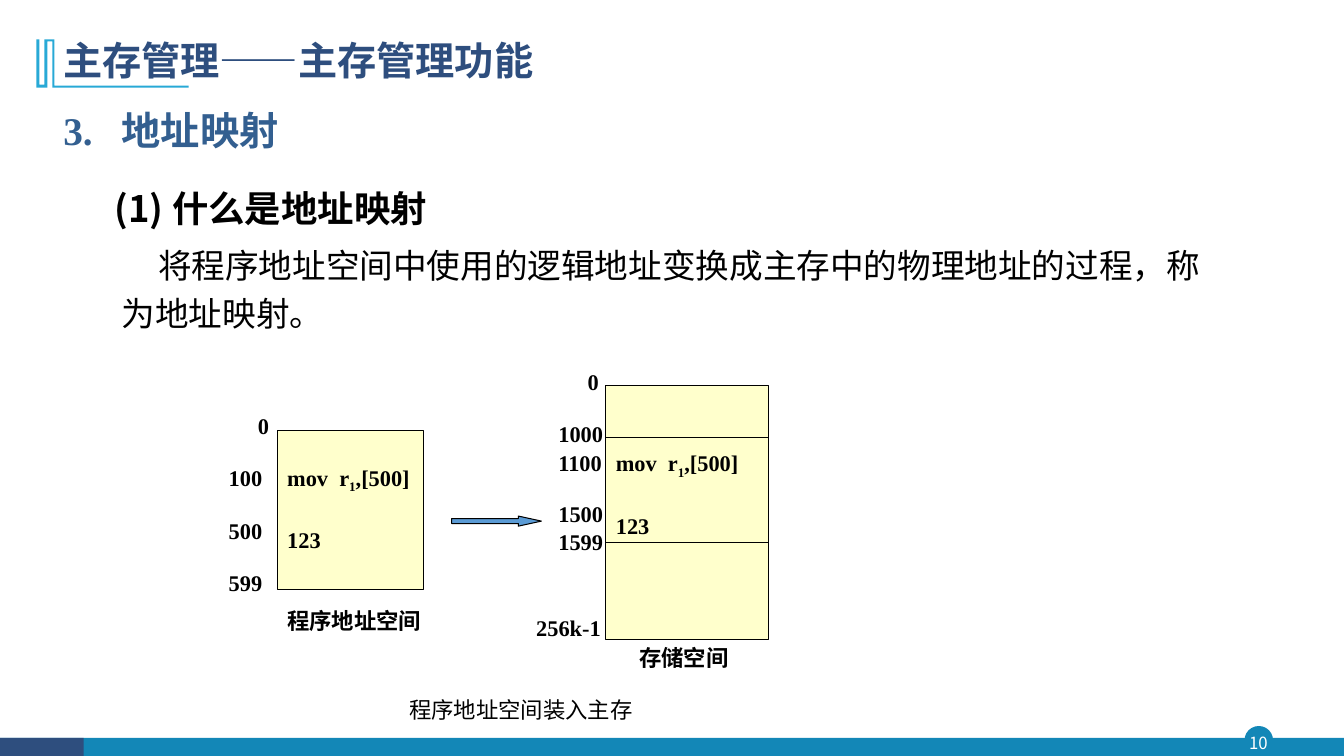
from lxml import etree
from pptx import Presentation
from pptx.dml.color import RGBColor
from pptx.enum.shapes import MSO_CONNECTOR, MSO_SHAPE
from pptx.enum.text import MSO_ANCHOR, PP_ALIGN
from pptx.oxml.ns import qn
from pptx.util import Inches, Pt

BLACK = RGBColor(0x00, 0x00, 0x00)
WHITE = RGBColor(0xFF, 0xFF, 0xFF)
NAVY = RGBColor(0x2E, 0x4E, 0x7E)
HEADING_BLUE = RGBColor(0x33, 0x5F, 0x90)
TEAL = RGBColor(0x13, 0x87, 0xB7)
CYAN = RGBColor(0x28, 0xA9, 0xD6)
ARROW_BLUE = RGBColor(0x5B, 0x9B, 0xD5)
CREAM = RGBColor(0xFF, 0xFF, 0xCC)
SANS = "Noto Sans CJK SC"
SERIF = "Times New Roman"


def add_run(paragraph, text, size, color=BLACK, name=SERIF, bold=False, baseline=None):
    """Append a formatted run to a paragraph."""
    run = paragraph.add_run()
    run.text = text
    for key, value in {"size": Pt(size), "name": name, "bold": bold}.items():
        setattr(run.font, key, value)
    run.font.color.rgb = color
    properties = run._r.get_or_add_rPr()
    if name == SANS:
        etree.SubElement(properties, qn("a:ea")).set("typeface", name)
    if baseline is not None:
        properties.set("baseline", str(baseline))


def add_text(slide, left, top, width, height, text="", size=16, **style):
    """Add a wrapping text box and return its text frame."""
    box = slide.shapes.add_textbox(Inches(left), Inches(top), Inches(width), Inches(height))
    frame = box.text_frame
    frame.word_wrap = True
    if text:
        add_run(frame.paragraphs[0], text, size, **style)
    return frame


def paint(shape, fill, line=None, width=0.75):
    """Give a shape a flat fill and an optional outline."""
    shape.shadow.inherit = False
    shape.fill.solid()
    shape.fill.fore_color.rgb = fill
    if line is None:
        shape.line.fill.background()
    else:
        shape.line.color.rgb = line
        shape.line.width = Pt(width)


def add_block(slide, kind, left, top, width, height, fill, line=None, weight=0.75):
    """Add a painted preset shape."""
    shape = slide.shapes.add_shape(kind, Inches(left), Inches(top), Inches(width), Inches(height))
    paint(shape, fill, line, weight)
    return shape


def add_footer(slide, top, width, height):
    """Draw the bottom band with the page number badge."""
    add_block(slide, MSO_SHAPE.OVAL, width - 0.98, top - 0.11, 0.27, 0.27, TEAL, TEAL, 1)
    add_block(slide, MSO_SHAPE.RECTANGLE, 0, top, width, height, TEAL)
    add_block(slide, MSO_SHAPE.RECTANGLE, 0, top, 0.83, height, NAVY)
    number = add_text(slide, width - 1.01, top - 0.11, 0.32, 0.31, "10", 12, color=WHITE, name=SANS)
    for side in ("left", "top", "right", "bottom"):
        setattr(number, f"margin_{side}", 0)
    number.vertical_anchor = MSO_ANCHOR.MIDDLE
    number.paragraphs[0].alignment = PP_ALIGN.CENTER


def add_header(slide, left, top):
    """Draw the corner ornament and the slide title."""
    outline = [(0.18, 0), (0.18, 0.46), (1.51, 0.46), (1.51, 0.48), (0.16, 0.48), (0.16, 0.02),
               (0.11, 0.02), (0.11, 0.48), (0, 0.48), (0, 0), (0.03, 0), (0.03, 0.45),
               (0.08, 0.45), (0.08, 0)]
    points = [(Inches(left + x), Inches(top + y)) for x, y in outline]
    builder = slide.shapes.build_freeform(*points[0])
    builder.add_line_segments(points[1:], close=True)
    paint(builder.convert_to_shape(), CYAN)
    title = add_text(slide, left + 0.17, top - 0.05, 10.49, 0.56, "主存管理——主存管理功能", 28,
                     color=NAVY, name=SANS, bold=True)
    title.vertical_anchor = MSO_ANCHOR.MIDDLE
    title.paragraphs[0].line_spacing = 0.9


def add_definition(slide, left, top, width, height):
    """Write the section heading, the question and its answer."""
    frame = add_text(slide, left, top, width, height)
    rows = [
        ("3.\t地址映射", 0.58, -0.58, 1.2, 0,
         {"size": 28, "color": HEADING_BLUE, "bold": True}),
        ("(1) 什么是地址映射", 0.51, 0, 1.5, 8, {"size": 26, "name": SANS, "bold": True}),
        ("将程序地址空间中使用的逻辑地址变换成主存中的物理地址的过程，称为地址映射。",
         0.58, 0.36, 1.2, 5, {"size": 24}),
    ]
    for index, (text, margin, indent, spacing, before, style) in enumerate(rows):
        paragraph = frame.add_paragraph() if index else frame.paragraphs[0]
        properties = paragraph._p.get_or_add_pPr()
        properties.set("marL", str(Inches(margin)))
        properties.set("indent", str(Inches(indent)))
        paragraph.line_spacing = spacing
        if index:
            paragraph.space_before = Pt(before)
        add_run(paragraph, text, **style)


def add_memory(slide, left, top, width, height, code_top, addresses, caption, dividers=()):
    """Draw a memory block with its code, address labels, dividers and caption."""
    memory = add_block(slide, MSO_SHAPE.RECTANGLE, left, top, width, height, CREAM, BLACK)
    code = memory.text_frame
    code.vertical_anchor = MSO_ANCHOR.TOP
    code.margin_top = Inches(code_top)
    instruction, value = code.paragraphs[0], code.add_paragraph()
    for text, baseline in (("mov  r", None), ("1", -25000), (",[500]", None)):
        add_run(instruction, text, 16, bold=True, baseline=baseline)
    add_run(value, "123", 16, bold=True)
    value.space_before = Pt(22.5)
    for paragraph in code.paragraphs:
        paragraph.alignment = PP_ALIGN.LEFT
    for offset in dividers:
        y = Inches(top + offset)
        divider = slide.shapes.add_connector(
            MSO_CONNECTOR.STRAIGHT, Inches(left), y, Inches(left + width), y)
        divider.line.color.rgb = BLACK
        divider.line.width = Pt(0.75)
        etree.SubElement(divider._element.spPr, qn("a:effectLst"))
    for address, dx, dy in addresses:
        add_text(slide, left + dx, top + dy, 0.3 + 0.11 * len(address), 0.37, address, bold=True)
    name, dx, dy = caption
    add_text(slide, left + dx, top + height + dy, 1.75, 0.37, name, bold=True)


def add_mapping(slide, left, top):
    """Draw the program space being loaded into main memory."""
    program = [("0", -0.29, -0.23)]
    program += [(address, -0.58, 0.29 + 0.52 * row)
                for row, address in enumerate(("100", "500", "599"))]
    add_memory(slide, left, top + 0.45, 1.45, 1.58, 0.33, program, ("程序地址空间", 0, 0.12))
    storage = [("0", -0.28, -0.22), ("1000", -0.57, 0.3), ("1100", -0.57, 0.59),
               ("1500", -0.57, 1.09), ("1599", -0.57, 1.37), ("256k-1", -0.79, 2.22)]
    add_memory(slide, left + 3.26, top, 1.61, 2.52, 0.64, storage, ("存储空间", 0.23, 0),
               dividers=(0.52, 1.56))
    add_text(slide, left + 1.21, top + 3.04, 2.96, 0.37, "程序地址空间装入主存")
    arrow = add_block(slide, MSO_SHAPE.RIGHT_ARROW, left + 1.73, top + 1.3, 0.89, 0.1,
                      ARROW_BLUE, BLACK)
    arrow.adjustments[1] = 2.29


def main():
    """Build the address mapping slide."""
    presentation = Presentation()
    presentation.slide_width = Inches(13.33)
    presentation.slide_height = Inches(7.5)
    slide = presentation.slides.add_slide(presentation.slide_layouts[6])
    add_footer(slide, 7.32, 13.33, 0.19)
    add_header(slide, 0.36, 0.39)
    add_definition(slide, 0.53, 0.91, 11.77, 2.5)
    add_mapping(slide, 2.75, 3.82)
    presentation.save("out.pptx")


if __name__ == "__main__":
    main()
